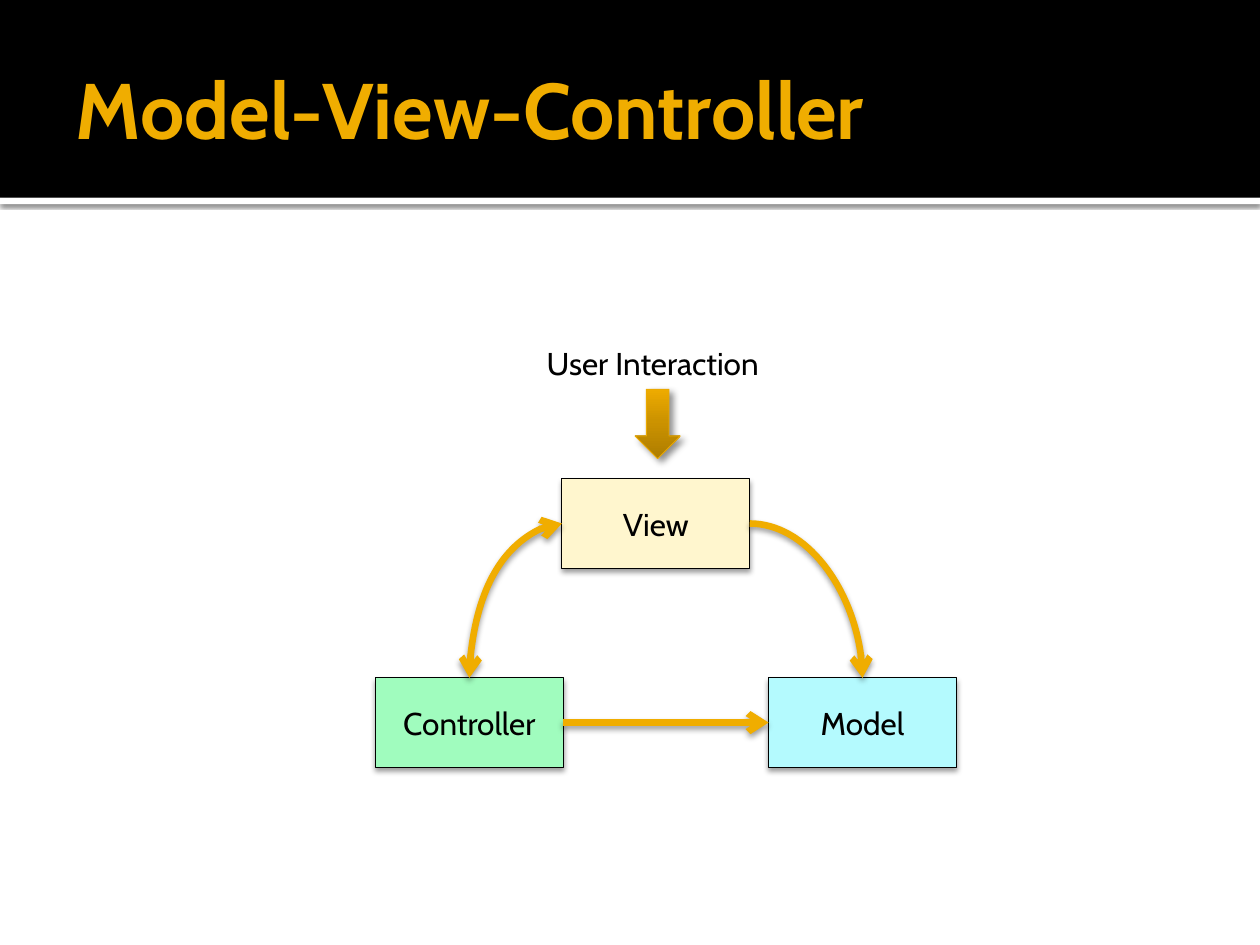
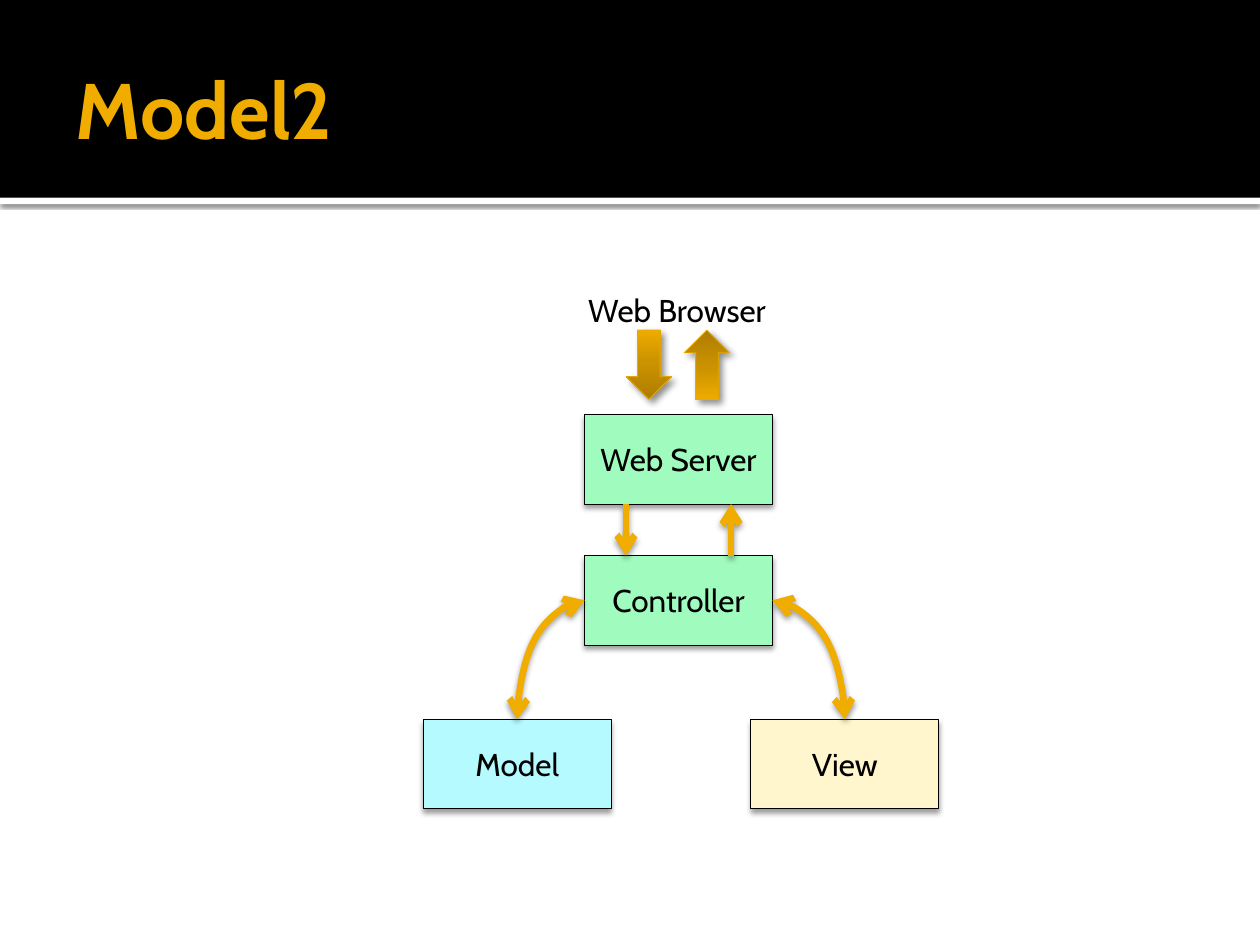
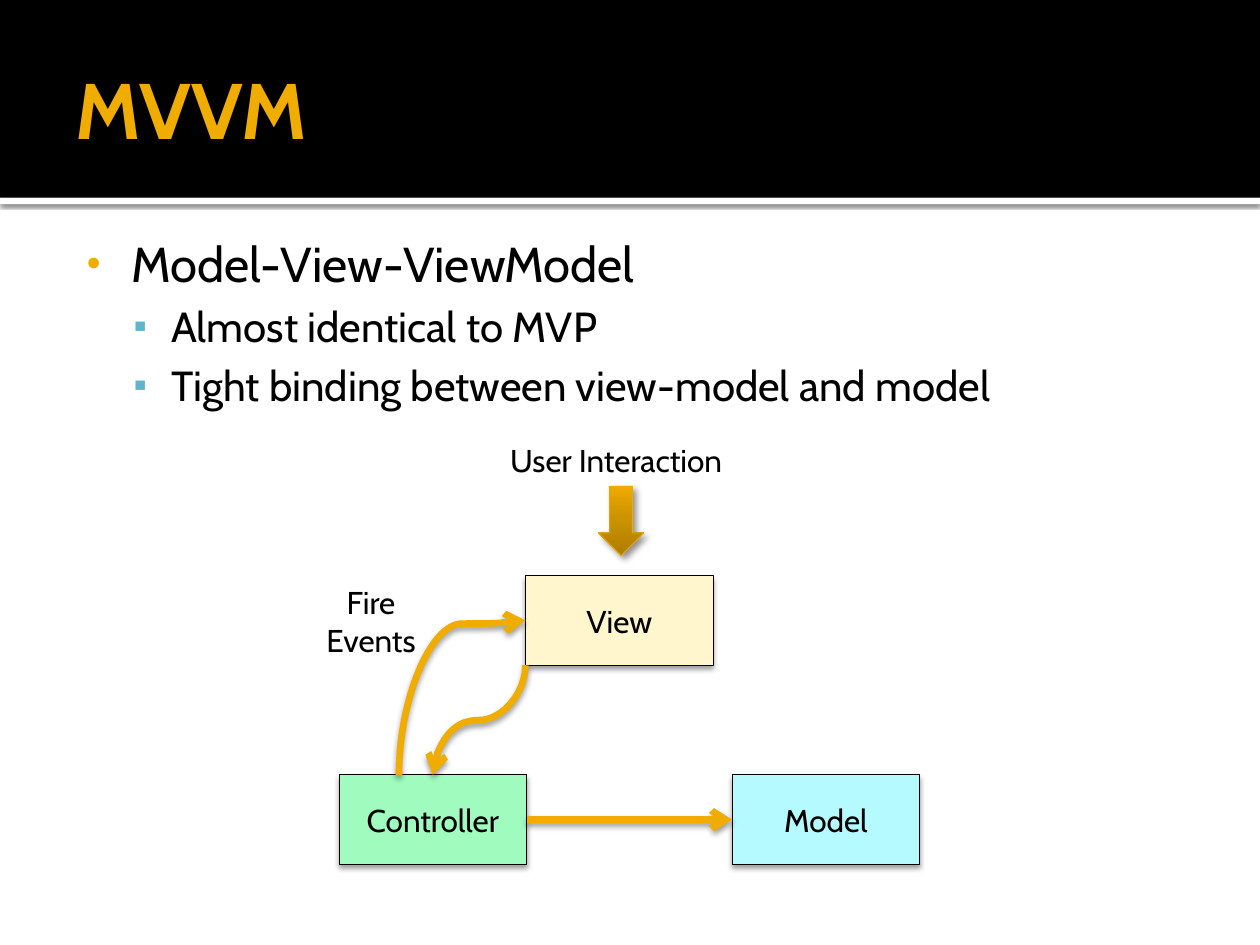
import copy
import lxml.etree
import pptx
import pptx.dml.color
import pptx.enum.shapes
import pptx.enum.text
import pptx.oxml.ns
import pptx.util

Inches = pptx.util.Inches
Pt = pptx.util.Pt
SHAPE = pptx.enum.shapes.MSO_SHAPE
LINK = pptx.enum.shapes.MSO_CONNECTOR
ALIGN = pptx.enum.text.PP_ALIGN
ANCHOR = pptx.enum.text.MSO_ANCHOR
FIT = pptx.enum.text.MSO_AUTO_SIZE
qn = pptx.oxml.ns.qn

BLACK, WHITE, GOLD, BLUE = "000000", "FFFFFF", "F0AD00", "60B5CC"
GREEN, CYAN, CREAM = "A0FCBE", "B4FAFE", "FFF6CE"
SHADE = [(0, "AE7D00"), (0.55, "CC9300"), (1, "EEAB00")]
BOX_W, BOX_H = 1.49, 0.71


def color(code):
    return pptx.dml.color.RGBColor.from_string(code)


def add(parent, tag, **attrs):
    return lxml.etree.SubElement(parent, qn(tag), attrs)


def spot(box, across, down):
    return box.left + int(box.width * across), box.top + int(box.height * down)


def shadow(item, alpha, blur, dist, angle=90):
    props = item._element.spPr
    effects = props.find(qn("a:effectLst"))
    if effects is None:
        effects = add(props, "a:effectLst")
    outer = add(effects, "a:outerShdw", blurRad=str(Pt(blur)), dist=str(Pt(dist)),
                dir=str(angle * 60000), algn="ctr", rotWithShape="0")
    add(add(outer, "a:srgbClr", val=BLACK), "a:alpha", val=str(alpha * 1000))


class Deck:
    font = "Cabin"

    def __init__(self):
        self.show = pptx.Presentation()
        self.show.slide_width = Inches(10)
        self.show.slide_height = Inches(7.5)
        self.slide = None

    def style(self, frame, size, code=BLACK, bold=False):
        for para in frame.paragraphs:
            for run in para.runs:
                run.font.name = self.font
                run.font.size = Pt(size)
                run.font.bold = bold
                run.font.color.rgb = color(code)

    def place(self, holder, left, top, wide, high, insets):
        holder.left, holder.top = Inches(left), Inches(top)
        holder.width, holder.height = Inches(wide), Inches(high)
        frame = holder.text_frame
        frame.auto_size = FIT.NONE
        (frame.margin_left, frame.margin_top,
         frame.margin_right, frame.margin_bottom) = map(Inches, insets)
        return frame

    def start(self, title, layout="Title Only"):
        first = self.slide is None
        self.slide = self.show.slides.add_slide(self.show.slide_layouts.get_by_name(layout))
        if first:
            self.bands()
        frame = self.place(self.slide.shapes.title, 0.5, 0.17, 9, 1.37,
                           (0.1, 0.05, 0.05, 0.05))
        frame.text = title
        frame.vertical_anchor = ANCHOR.MIDDLE
        frame.paragraphs[0].alignment = ALIGN.LEFT
        self.style(frame, 45, GOLD, True)

    def bands(self):
        strip = self.shape(SHAPE.RECTANGLE, 0, 1.57, 10, 0.05, WHITE)
        shadow(strip, 60, 2.5, 0.8)
        band = self.shape(SHAPE.RECTANGLE, 0, 0, 10, 1.57, BLACK)
        tree = self.show.slide_master.shapes._spTree
        for rank, part in enumerate((strip, band), 2):
            tree.insert(rank, part._element)

    def shape(self, kind, left, top, wide, high, fill=None, line=None):
        item = self.slide.shapes.add_shape(kind, Inches(left), Inches(top),
                                           Inches(wide), Inches(high))
        item.shadow.inherit = False
        if fill:
            item.fill.solid()
            item.fill.fore_color.rgb = color(fill)
        if line:
            item.line.color.rgb = color(line)
            item.line.width = Pt(0.5)
        else:
            item.line.fill.background()
        return item

    def box(self, text, left, top, fill):
        item = self.shape(SHAPE.RECTANGLE, left, top, BOX_W, BOX_H, fill, BLACK)
        shadow(item, 38, 3.1, 2)
        frame = item.text_frame
        frame.text = text
        frame.vertical_anchor = ANCHOR.MIDDLE
        frame.paragraphs[0].alignment = ALIGN.CENTER
        self.style(frame, 18)
        return item

    def block(self, left, top, turn=0):
        item = self.shape(SHAPE.DOWN_ARROW, left, top, 0.36, 0.55, line="EBA900")
        item.rotation = turn
        item.fill.gradient()
        item.fill.gradient_angle = 90
        stop = item._element.spPr.find(".//" + qn("a:gs"))
        stop.addnext(copy.deepcopy(stop))
        for stop, (at, code) in zip(item.fill.gradient_stops, SHADE):
            stop.position = at
            stop.color.rgb = color(code)
        shadow(item, 43, 4, 3, 45)

    def label(self, text, left, top, wide, high=0.4, align=ALIGN.LEFT):
        item = self.slide.shapes.add_textbox(Inches(left), Inches(top),
                                             Inches(wide), Inches(high))
        frame = item.text_frame
        frame.word_wrap = False
        frame.auto_size = FIT.SHAPE_TO_FIT_TEXT
        frame.text = text
        for para in frame.paragraphs:
            para.alignment = align
        self.style(frame, 18)

    def link(self, start, end, kind=LINK.STRAIGHT, both=False):
        item = self.slide.shapes.add_connector(kind, *start, *end)
        item.line.color.rgb = color(GOLD)
        item.line.width = Pt(3.78)
        line = item.line._get_or_add_ln()
        if both:
            add(line, "a:headEnd", type="arrow")
        add(line, "a:tailEnd", type="arrow")
        shadow(item, 38, 3.5, 2)
        return item

    def bend(self, start, end, both=False):
        item = self.link(start, end, LINK.CURVE, both)
        item._element.spPr.find(qn("a:prstGeom")).set("prst", "curvedConnector2")

    def wave(self, start, end, bias=0.5):
        mid_x, mid_y = (start[0] + end[0]) // 2, (start[1] + end[1]) // 2
        ends = [(mid_x + y - mid_y, mid_y - x + mid_x) for x, y in (start, end)]
        item = self.link(*ends, LINK.CURVE)
        props = item._element.spPr
        props.find(qn("a:xfrm")).set("rot", str(90 * 60000))
        add(props.find(".//" + qn("a:avLst")), "a:gd", name="adj1",
            fmla=f"val {round(bias * 100000)}")

    def items(self, rows):
        frame = self.place(self.slide.placeholders[1], 0.5, 1.75, 9, 4.95,
                           (0.06, 0.1, 0.1, 0.05))
        frame.text = "\n".join(text for text, level in rows)
        looks = [(28, 0.48, -0.35, "•", GOLD, 80), (24, 0.8, -0.3, "▪", BLUE, 90)]
        for para, (text, level) in zip(frame.paragraphs, rows):
            size, left, hang, mark, code, scale = looks[level]
            para.level = level
            if level == 0:
                para.space_before = Pt(18)
            para.font.size = Pt(size)
            props = para._p.get_or_add_pPr()
            props.set("marL", str(Inches(left)))
            props.set("indent", str(Inches(hang)))
            tail = props.find(qn("a:defRPr"))
            add(add(props, "a:buClr"), "a:srgbClr", val=code)
            add(props, "a:buSzPct", val=str(scale * 1000))
            add(props, "a:buChar", char=mark)
            props.remove(tail)
            for run in para.runs:
                run.font.name = self.font
                run.font.size = Pt(size)
                run.font.color.rgb = color(BLACK)

    def triad(self, left, top):
        control = self.box("Controller", left, top, GREEN)
        model = self.box("Model", left + 3.12, top, CYAN)
        view = self.box("View", left + 1.48, top - 1.58, CREAM)
        self.block(left + 2.06, top - 2.29)
        self.label("User Interaction", left + 1.26, top - 2.7, 1.98)
        self.link(spot(control, 1, 0.5), spot(model, 0, 0.5))
        return control, model, view


def mvc(deck):
    deck.start("Model-View-Controller")
    control, model, view = deck.triad(2.98, 5.38)
    deck.bend(spot(view, 1, 0.5), spot(model, 0.5, 0))
    deck.bend(spot(view, 0, 0.5), spot(control, 0.5, 0), True)


def model2(deck):
    deck.start("Model2")
    control = deck.box("Controller", 4.64, 4.41, GREEN)
    model = deck.box("Model", 3.36, 5.71, CYAN)
    view = deck.box("View", 5.96, 5.71, CREAM)
    deck.block(4.97, 2.62)
    deck.block(5.43, 2.62, 180)
    deck.label("Web Browser", 4.57, 2.26, 1.72)
    server = deck.box("Web Server", 4.64, 3.29, GREEN)
    deck.link(spot(server, 0.22, 1), spot(control, 0.22, 0))
    deck.link(spot(control, 0.78, 0), spot(server, 0.78, 1))
    deck.bend(spot(control, 0, 0.5), spot(model, 0.5, 0), True)
    deck.bend(spot(control, 1, 0.5), spot(view, 0.5, 0), True)


def mvvm(deck):
    deck.start("MVVM", "Title and Content")
    deck.items([("Model-View-ViewModel", 0),
                ("Almost identical to MVP", 1),
                ("Tight binding between view-model and model", 1)])
    control, model, view = deck.triad(2.69, 6.15)
    deck.wave(spot(view, 0, 1), spot(control, 0.5, 0))
    deck.label("Fire\nEvents", 2.46, 4.58, 0.97, 0.71, ALIGN.CENTER)
    deck.wave(spot(control, 0.32, 0), spot(view, 0, 0.5), 0.98)


def main():
    deck = Deck()
    for build in (mvc, model2, mvvm):
        build(deck)
    deck.show.save("out.pptx")


if __name__ == "__main__":
    main()
